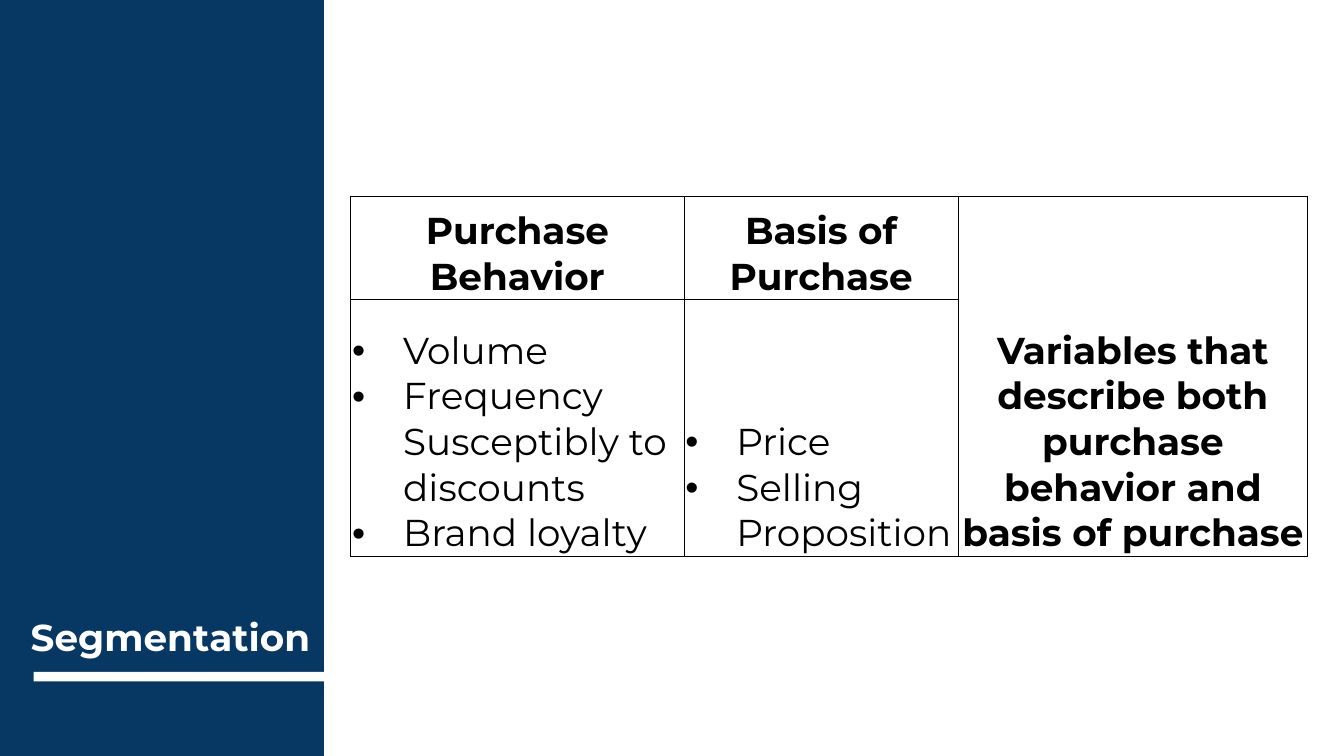
from lxml.etree import SubElement
from pptx import Presentation
from pptx.dml.color import RGBColor
from pptx.enum.shapes import MSO_SHAPE as Shape
from pptx.enum.text import MSO_ANCHOR as Anchor, MSO_AUTO_SIZE as AutoSize, PP_ALIGN as Align
from pptx.oxml.ns import qn
from pptx.util import Inches, Pt

FONT = "Montserrat"
NAVY, WHITE, BLACK = "073763", "FFFFFF", "000000"
COLUMN_WIDTHS = (2.48, 2.04, 2.6)
ROW_HEIGHTS = (0.77, 1.91)
HEADINGS = (
    "Purchase Behavior",
    "Basis of Purchase",
    "Variables that describe both purchase behavior and basis of purchase",
)
LISTS = (
    ("Volume", "Frequency Susceptibly to discounts", "Brand loyalty"),
    ("Price", "Selling Proposition"),
)


def color(value):
    return RGBColor.from_string(value)


def format_paragraph(paragraph, alignment, font_color, bold):
    paragraph.alignment = alignment
    for run in paragraph.runs:
        font = run.font
        font.name, font.size, font.bold = FONT, Pt(20), bold
        font.color.rgb = color(font_color)


def add_rectangle(slide, left, top, width, height, fill):
    shape = slide.shapes.add_shape(
        Shape.RECTANGLE, Inches(left), Inches(top), Inches(width), Inches(height))
    shape.shadow.inherit = False
    shape.fill.solid()
    shape.fill.fore_color.rgb = color(fill)
    shape.line.fill.background()


def set_title(slide, text):
    title = slide.shapes.title
    title.left, title.top = Inches(0), Inches(3.81)
    title.width, title.height = Inches(2.41), Inches(1.19)
    frame = title.text_frame
    frame.text = text
    frame.word_wrap = True
    frame.auto_size = AutoSize.NONE
    frame.vertical_anchor = Anchor.BOTTOM
    frame.margin_left = frame.margin_right = Inches(0.1)
    frame.margin_top = frame.margin_bottom = Inches(0.1)
    format_paragraph(frame.paragraphs[0], Align.RIGHT, WHITE, True)
    # Bring the title in front of the side panel
    slide.shapes._spTree.append(title._element)


def add_bullet(paragraph):
    properties = paragraph._p.get_or_add_pPr()
    properties.set("marL", str(Inches(0.38)))
    properties.set("indent", str(Inches(-0.38)))
    SubElement(properties, qn("a:buFont"), typeface="Arial")
    SubElement(properties, qn("a:buChar"), char="•")


def style_cell(cell):
    properties = cell._tc.get_or_add_tcPr()
    for side in ("a:lnL", "a:lnR", "a:lnT", "a:lnB"):
        border = SubElement(properties, qn(side), w=str(Pt(0.5)))
        fill = SubElement(border, qn("a:solidFill"))
        SubElement(fill, qn("a:srgbClr"), val=BLACK)
    cell.fill.background()
    cell.vertical_anchor = Anchor.BOTTOM
    cell.margin_left = cell.margin_right = cell.margin_top = Inches(0.01)
    cell.margin_bottom = 0


def fill_list(cell, items):
    frame = cell.text_frame
    for index, item in enumerate(items):
        paragraph = frame.add_paragraph() if index else frame.paragraphs[0]
        paragraph.text = item
        format_paragraph(paragraph, Align.LEFT, BLACK, False)
        add_bullet(paragraph)


def add_segmentation_table(slide):
    table = slide.shapes.add_table(
        len(ROW_HEIGHTS), len(COLUMN_WIDTHS), Inches(2.61), Inches(1.46),
        Inches(sum(COLUMN_WIDTHS)), Inches(sum(ROW_HEIGHTS))).table
    table.first_row = table.horz_banding = False
    for column, width in zip(table.columns, COLUMN_WIDTHS):
        column.width = Inches(width)
    for row, height in zip(table.rows, ROW_HEIGHTS):
        row.height = Inches(height)
    for cell in table.iter_cells():
        style_cell(cell)

    # The last heading spans both rows
    table.cell(0, 2).merge(table.cell(1, 2))
    for index, heading in enumerate(HEADINGS):
        frame = table.cell(0, index).text_frame
        frame.text = heading
        format_paragraph(frame.paragraphs[0], Align.CENTER, BLACK, True)
    for index, items in enumerate(LISTS):
        fill_list(table.cell(1, index), items)


def main():
    presentation = Presentation()
    # Widescreen, 16:9
    presentation.slide_width = Inches(10)
    presentation.slide_height = Inches(10 * 9 / 16)
    slide = presentation.slides.add_slide(presentation.slide_layouts[5])

    # Side panel with underlined title
    add_rectangle(slide, -0.04, -0.07, 2.45, 5.77, NAVY)
    add_rectangle(slide, 0.25, 5, 2.28, 0.07, WHITE)
    set_title(slide, "Segmentation")

    # Segmentation variables
    add_segmentation_table(slide)
    presentation.save("out.pptx")


if __name__ == "__main__":
    main()
